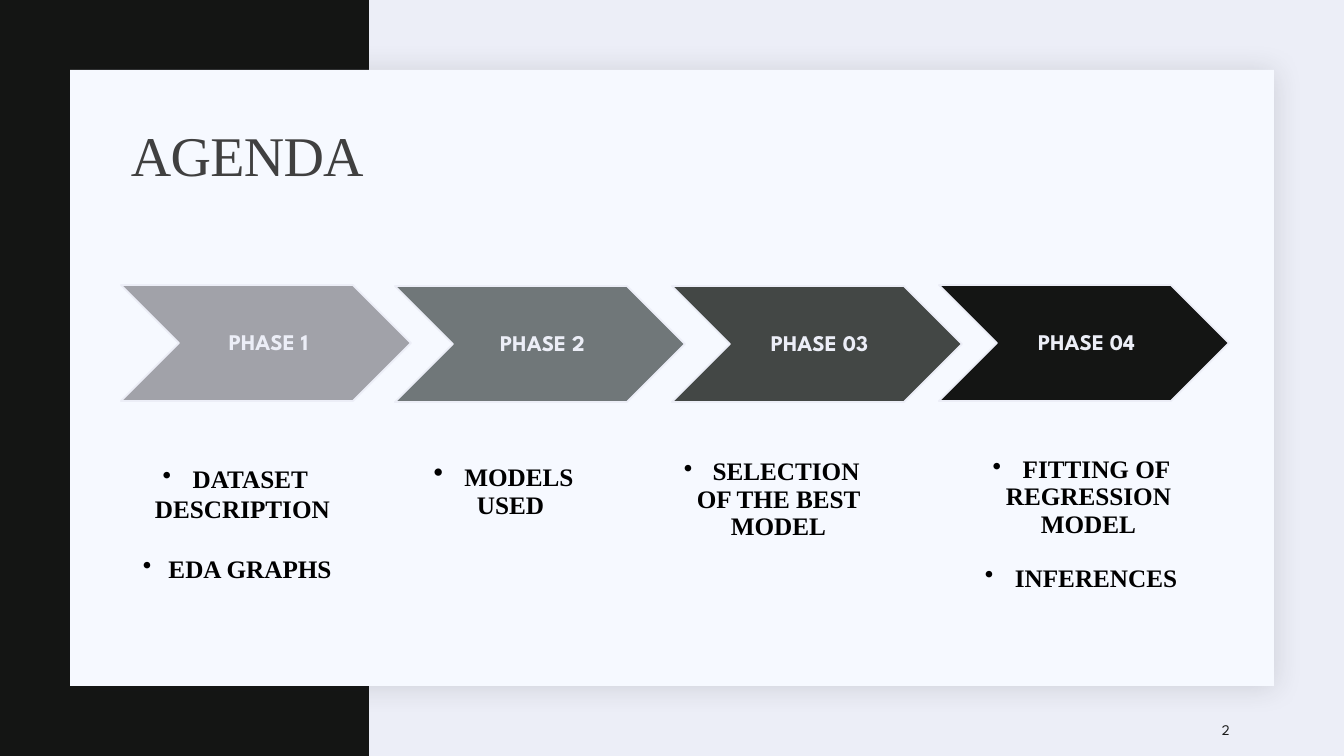
from lxml.etree import SubElement
from pptx import Presentation
from pptx.dml.color import RGBColor
from pptx.enum.shapes import MSO_SHAPE
from pptx.enum.text import MSO_ANCHOR, PP_ALIGN
from pptx.oxml.ns import qn
from pptx.util import Emu, Pt

W, H = 1344, 756
SERIF, SANS = "Times New Roman", "League Spartan"
COLORS = {
    "back": "ECEEF7", "band": "141514", "card": "F6F9FF", "shadow": "1F2125",
    "title": "404040", "body": "000000", "number": "191919",
    "phase1": "A1A2A9", "phase2": "707779", "phase3": "434745", "phase4": "141514",
}
CHEVRON_W, CHEVRON_H = 290, 116

# label, fill, chevron left and top, notes box, right inset, line spacing, bullet size, notes
PHASES = [
    ("PHASE 1", "phase1", (121, 285), (143, 416, 219, 178), 20, 1.0, 18,
     ["DATASET DESCRIPTION", "EDA GRAPHS"]),
    ("PHASE 2", "phase2", (395, 286), (412, 415, 197, 178), 0, 0.9, 20,
     ["MODELS USED"]),
    ("PHASE 03", "phase3", (672, 286), (684, 412, 209, 178), 20, 0.9, 18,
     ["SELECTION OF THE BEST MODEL"]),
    ("PHASE 04", "phase4", (939, 285), (967, 410, 263, 178), 20, 0.9, 18,
     ["FITTING OF REGRESSION MODEL", "INFERENCES"]),
]


def px(n):
    return Emu(round(n * 914400 / 100.8))


def rgb(name):
    return RGBColor.from_string(COLORS[name])


def add_block(s, kind, box, fill, line=None):
    sp = s.shapes.add_shape(kind, *map(px, box))
    sp.shadow.inherit = False
    sp.fill.solid()
    sp.fill.fore_color.rgb = rgb(fill)
    if line:
        sp.line.color.rgb = rgb(line)
        sp.line.width = Pt(1.25)
    else:
        sp.line.fill.background()
    return sp


def add_soft_shadow(sp):
    effects = sp._element.spPr.find(qn("a:effectLst"))
    shadow = SubElement(effects, qn("a:outerShdw"), blurRad=str(Pt(20)), dist=str(Pt(2)),
                        dir="2700000", algn="tl", rotWithShape="0")
    color = SubElement(shadow, qn("a:srgbClr"), val=COLORS["shadow"])
    SubElement(color, qn("a:alpha"), val="15000")


def add_frame(s, box, insets, anchor=MSO_ANCHOR.MIDDLE):
    tf = s.shapes.add_textbox(*map(px, box)).text_frame
    tf.word_wrap = True
    tf.vertical_anchor = anchor
    tf.margin_left, tf.margin_top, tf.margin_right, tf.margin_bottom = map(px, insets)
    return tf


def style_run(r, font, size, color, bold=False):
    r.font.name, r.font.size, r.font.bold = font, Pt(size), bold
    r.font.color.rgb = rgb(color)


def add_line(s, box, insets, text, font, size, color, bold=False, align=PP_ALIGN.LEFT):
    """Add a text box holding one paragraph and return its run."""
    p = add_frame(s, box, insets).paragraphs[0]
    p.text = text
    p.alignment = align
    p.line_spacing = 0.9
    style_run(p.runs[0], font, size, color, bold)
    return p.runs[0]


def add_notes(s, box, inset_right, spacing, bullet_size, notes):
    tf = add_frame(s, box, (0, 47, inset_right, 0), MSO_ANCHOR.TOP)
    for i, note in enumerate(notes):
        p = tf.paragraphs[0] if i == 0 else tf.add_paragraph()
        p.alignment = PP_ALIGN.CENTER
        p.line_spacing = spacing
        if i:
            p.space_before = Pt(21.5 * spacing)
        SubElement(p._p.get_or_add_pPr(), qn("a:buChar"), char="•")
        for text, size in ((" ", bullet_size), (note, 18)):
            r = p.add_run()
            r.text = text
            style_run(r, SERIF, size, "body", True)


def add_phase(s, label, fill, corner, notes_box, inset_right, spacing, bullet_size, notes):
    x, y = corner
    add_block(s, MSO_SHAPE.CHEVRON, (x, y, CHEVRON_W, CHEVRON_H), fill, "back")
    point = CHEVRON_H // 2
    add_line(s, (x + point, y, CHEVRON_W - 2 * point, CHEVRON_H), (7, 2, 2, 2),
             label, SANS, 16, "back", True, PP_ALIGN.CENTER)
    add_notes(s, notes_box, inset_right, spacing, bullet_size, notes)


def add_backdrop(s):
    s.background.fill.solid()
    s.background.fill.fore_color.rgb = rgb("back")
    add_block(s, MSO_SHAPE.RECTANGLE, (0, 0, 369, H), "band")
    add_soft_shadow(add_block(s, MSO_SHAPE.RECTANGLE, (70, 70, 1204, 616), "card"))


def add_agenda(prs):
    s = prs.slides.add_slide(prs.slide_layouts[6])
    add_backdrop(s)
    for phase in PHASES:
        add_phase(s, *phase)
    r = add_line(s, (121, 126, 1109, 64), (10, 5, 10, 5), "AGENDA", SERIF, 40, "title")
    r._r.get_or_add_rPr().set("spc", "-50")
    add_line(s, (1212, 711, 86, 40), (10, 5, 10, 5), "2", SANS, 10.5, "number")


def main():
    prs = Presentation()
    prs.slide_width, prs.slide_height = px(W), px(H)
    add_agenda(prs)
    prs.save("out.pptx")


if __name__ == "__main__":
    main()
